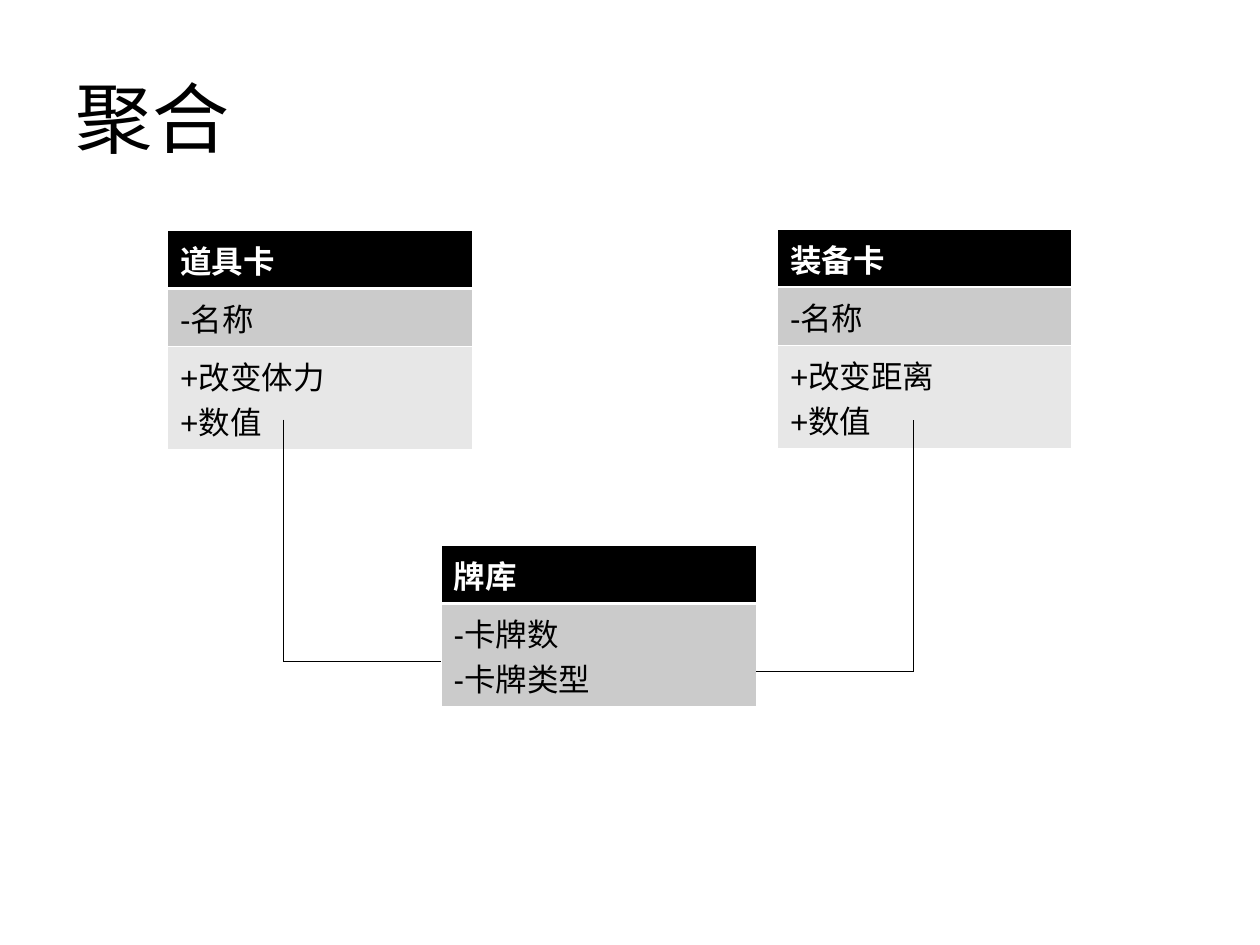
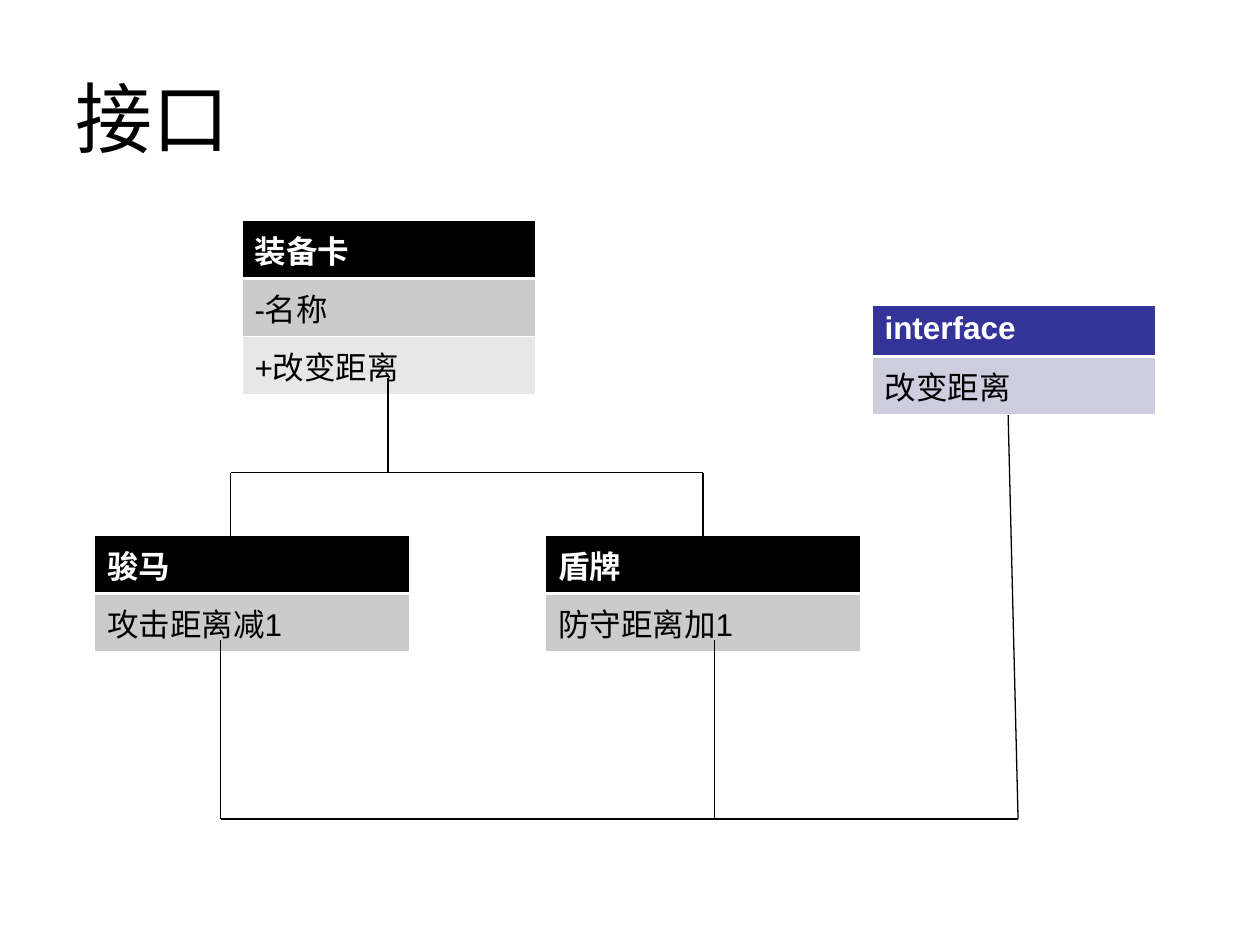
from lxml import etree
from pptx import Presentation
from pptx.dml.color import RGBColor
from pptx.enum.shapes import MSO_CONNECTOR as Link
from pptx.enum.text import MSO_ANCHOR as Anchor
from pptx.oxml.ns import qn
from pptx.util import Inches, Pt

FONT = "Arial"
BLACK, WHITE = "000000", "FFFFFF"
GREY = (BLACK, "CBCBCB", "E7E7E7")
BLUE = ("333399", "CDCDDE")
THIN, THICK = 0.45, 1.47
# Height of a one-line row, of each further line, and of a Latin head
ROW, LINE, LATIN = 0.46, 0.36, 0.41


def color(code):
    return RGBColor.from_string(code)


class Deck:
    def __init__(self):
        self.prs = Presentation()
        self.prs.slide_width = Inches(10)
        self.prs.slide_height = Inches(7.5)
        self.slide = None

    def page(self, title):
        """Start a slide with its title."""
        self.slide = self.prs.slides.add_slide(self.prs.slide_layouts[6])
        box = self.slide.shapes.add_textbox(
            Inches(0.5), Inches(0.3), Inches(9), Inches(1.25))
        frame = box.text_frame
        frame.word_wrap = True
        frame.vertical_anchor = Anchor.MIDDLE
        self.text(frame.paragraphs[0], title, 44)

    def text(self, para, words, size=18, ink=BLACK, bold=False):
        run = para.add_run()
        run.text = words
        run.font.name = FONT
        run.font.size = Pt(size)
        run.font.bold = bold
        run.font.color.rgb = color(ink)

    def edge(self, cell, side, width):
        """Draw one white border of a cell."""
        props = cell._tc.get_or_add_tcPr()
        line = etree.SubElement(props, qn("a:ln" + side), w=str(Pt(width)))
        fill = etree.SubElement(line, qn("a:solidFill"))
        etree.SubElement(fill, qn("a:srgbClr"), val=WHITE)

    def card(self, left, top, width, rows, fills=GREY, first=ROW):
        """Draw a class card: a head row, then rows of one or more lines."""
        highs = [first] + [ROW + LINE * (len(row) - 1) for row in rows[1:]]
        table = self.slide.shapes.add_table(
            len(rows), 1, Inches(left), Inches(top),
            Inches(width), Inches(sum(highs))).table
        for i, (lines, high, fill) in enumerate(zip(rows, highs, fills)):
            table.rows[i].height = Inches(high)
            cell = table.cell(i, 0)
            head = i == 0
            # Borders come before the fill in the cell properties
            for side in "LR":
                self.edge(cell, side, THIN)
            self.edge(cell, "T", THICK if i == 1 else THIN)
            self.edge(cell, "B", THICK if head else THIN)
            cell.fill.solid()
            cell.fill.fore_color.rgb = color(fill)
            frame = cell.text_frame
            for n, words in enumerate(lines):
                para = frame.add_paragraph() if n else frame.paragraphs[0]
                self.text(para, words, ink=WHITE if head else BLACK, bold=head)

    def line(self, *ends):
        """Draw a straight line from x1, y1 to x2, y2."""
        wire = self.slide.shapes.add_connector(
            Link.STRAIGHT, *[Inches(v) for v in ends])
        wire.line.color.rgb = color(BLACK)
        wire.line.width = Pt(0.75)
        etree.SubElement(wire._element.spPr, qn("a:effectLst"))

    def chain(self, *points):
        """Join points with straight lines."""
        for start, end in zip(points, points[1:]):
            self.line(*start, *end)


def main():
    deck = Deck()

    # Aggregation: two kinds of card feed the stock
    deck.page("聚合")
    deck.card(1.33, 1.83, 2.42, [["道具卡"], ["-名称"], ["+改变体力", "+数值"]])
    deck.card(6.17, 1.82, 2.33, [["装备卡"], ["-名称"], ["+改变距离", "+数值"]])
    deck.card(3.5, 4.33, 2.5, [["牌库"], ["-卡牌数", "-卡牌类型"]])
    deck.chain((2.25, 3.33), (2.25, 5.25), (3.5, 5.25))
    deck.chain((6, 5.33), (7.25, 5.33), (7.25, 3.33))

    # Interface: base card and its two children
    deck.page("接口")
    deck.card(1.92, 1.75, 2.33, [["装备卡"], ["-名称"], ["+改变距离"]])
    kids = [(0.75, "骏马", "攻击距离减1"), (4.33, "盾牌", "防守距离加1")]
    for left, name, act in kids:
        deck.card(left, 4.25, 2.5, [[name], [act]])

    # Inheritance tree
    deck.chain((1.83, 4.25), (1.83, 3.75), (5.58, 3.75), (5.58, 4.25))
    deck.line(3.08, 3, 3.08, 3.75)

    # Links to the interface, whose card covers the line's end
    deck.chain((1.75, 5.08), (1.75, 6.5), (8.08, 6.5), (8, 3.25))
    deck.line(5.67, 5.08, 5.67, 6.5)
    deck.card(6.92, 2.42, 2.25, [["interface"], ["改变距离"]], BLUE, LATIN)

    deck.prs.save("out.pptx")


if __name__ == "__main__":
    main()
